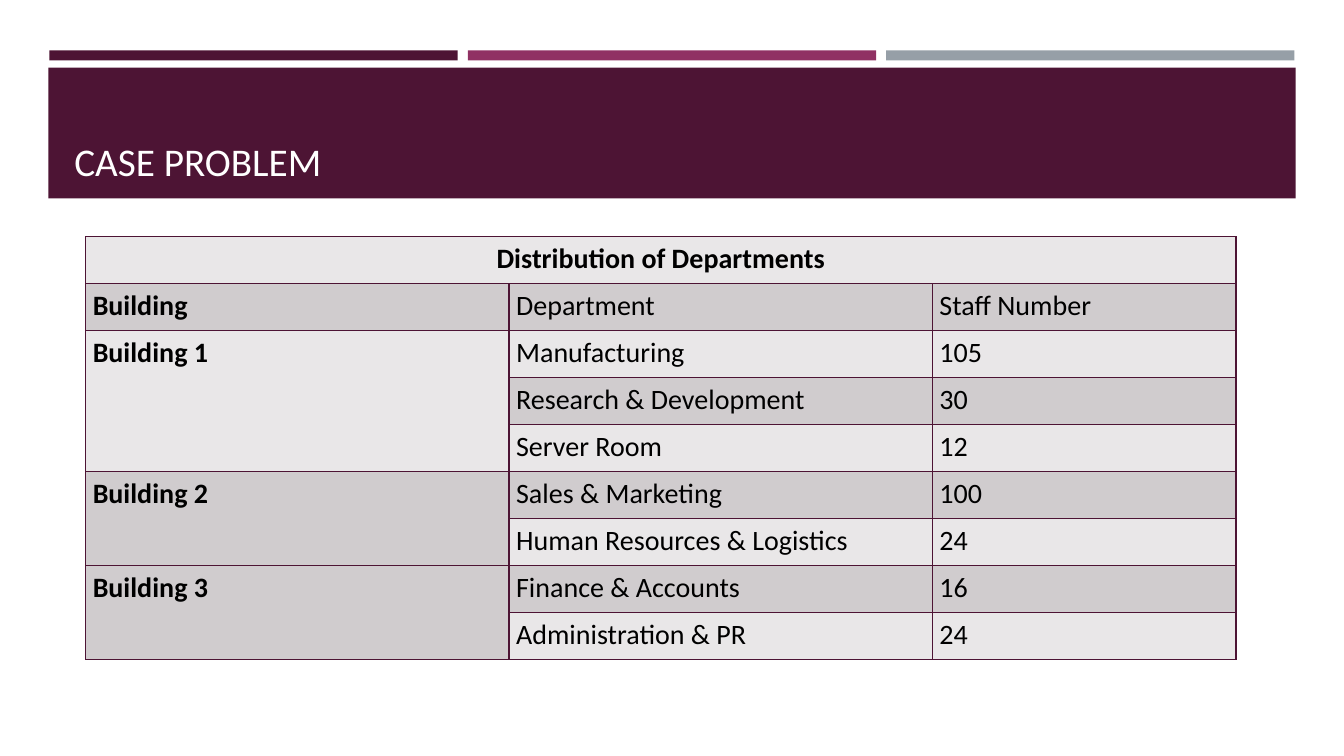
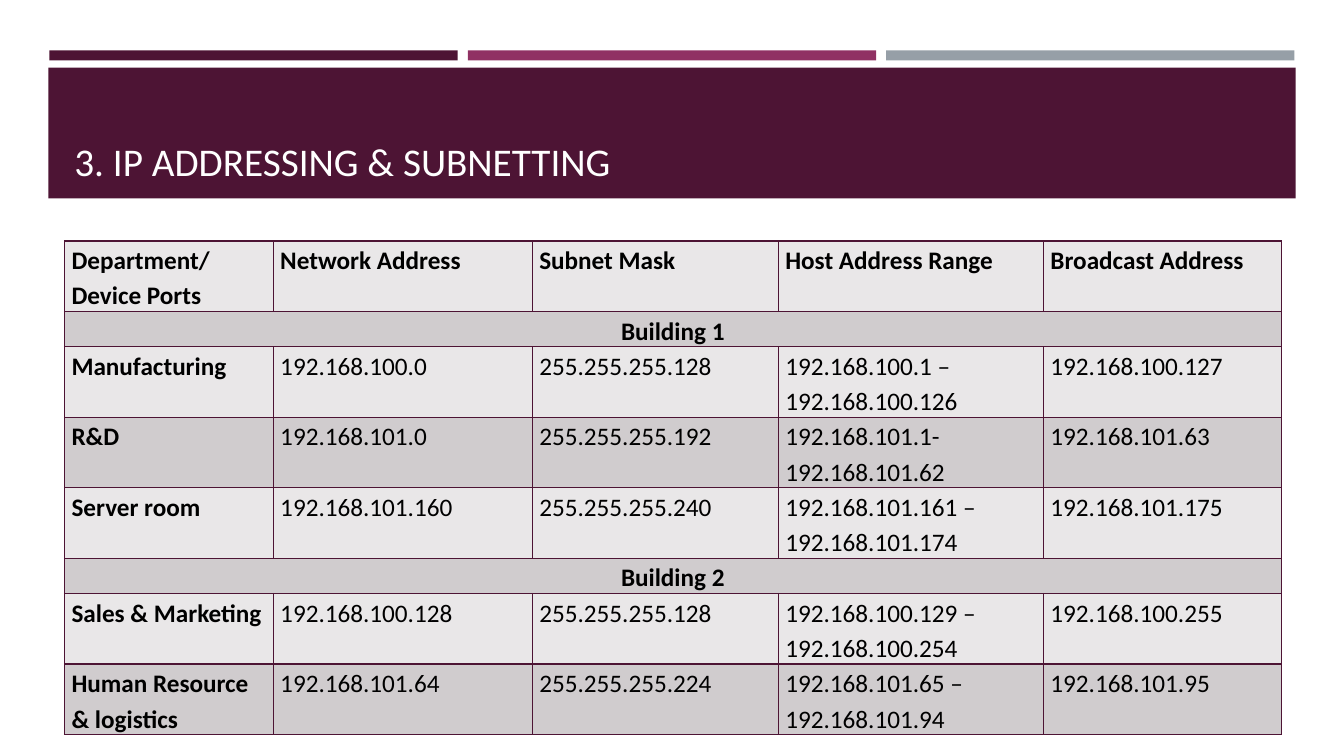
import lxml.etree
import pptx
import pptx.dml.color
import pptx.enum.shapes
import pptx.enum.text
import pptx.oxml.ns
import pptx.util

WIDE = pptx.util.Inches(13.33)
TALL = pptx.util.Inches(7.5)
FONT = "Calibri"
PLUM = pptx.dml.color.RGBColor(0x4D, 0x14, 0x34)
ROSE = pptx.dml.color.RGBColor(0x90, 0x31, 0x63)
STEEL = pptx.dml.color.RGBColor(0x96, 0x9F, 0xA7)
LIGHT = pptx.dml.color.RGBColor(0xE9, 0xE7, 0xE8)
DARK = pptx.dml.color.RGBColor(0xD0, 0xCC, 0xCE)
WHITE = pptx.dml.color.RGBColor(0xFF, 0xFF, 0xFF)
BLACK = pptx.dml.color.RGBColor(0, 0, 0)

STAFF = [
    ["Distribution of Departments"],
    ["Building", "Department", "Staff Number"],
    ["Building 1", "Manufacturing", "105"],
    ["", "Research & Development", "30"],
    ["", "Server Room", "12"],
    ["Building 2", "Sales & Marketing", "100"],
    ["", "Human Resources & Logistics", "24"],
    ["Building 3", "Finance & Accounts", "16"],
    ["", "Administration & PR", "24"],
]
SUBNETS = [
    ["Department/ Device Ports", "Network Address", "Subnet Mask",
     "Host Address Range", "Broadcast Address"],
    ["Building 1"],
    ["Manufacturing", "192.168.100.0", "255.255.255.128",
     "192.168.100.1 –\n192.168.100.126", "192.168.100.127"],
    ["R&D", "192.168.101.0", "255.255.255.192",
     "192.168.101.1-\n192.168.101.62", "192.168.101.63"],
    ["Server room", "192.168.101.160", "255.255.255.240",
     "192.168.101.161 –\n192.168.101.174", "192.168.101.175"],
    ["Building 2"],
    ["Sales & Marketing", "192.168.100.128", "255.255.255.128",
     "192.168.100.129 –\n192.168.100.254", "192.168.100.255"],
    ["Human Resource & logistics", "192.168.101.64", "255.255.255.224",
     "192.168.101.65 –\n192.168.101.94", "192.168.101.95"],
]


def across(share):
    return round(WIDE * share / 100)


def down(share):
    return round(TALL * share / 100)


def place(left, top, width, height):
    return across(left), down(top), across(width), down(height)


def set_font(para, size, color, bold=False):
    para.font.name = FONT
    para.font.size = pptx.util.Pt(size)
    para.font.color.rgb = color
    para.font.bold = bold


def add_bar(slide, box, color):
    bar = slide.shapes.add_shape(pptx.enum.shapes.MSO_SHAPE.RECTANGLE, *place(*box))
    bar.shadow.inherit = False
    bar.fill.solid()
    bar.fill.fore_color.rgb = color
    bar.line.fill.background()


def add_title(slide, text):
    frame = slide.shapes.add_textbox(*place(4.8, 10.27, 90.47, 14.8)).text_frame
    frame.word_wrap = True
    frame.vertical_anchor = pptx.enum.text.MSO_ANCHOR.BOTTOM
    frame.text = text
    set_font(frame.paragraphs[0], 28, WHITE)


def add_page(deck, title):
    slide = deck.slides.add_slide(deck.slide_layouts[6])
    for index, color in enumerate((PLUM, ROSE, STEEL)):
        add_bar(slide, (3.68 + index * 31.13, 6.67, 30.38, 1.33), color)
    add_bar(slide, (3.6, 8.93, 92.8, 17.33), PLUM)
    add_title(slide, title)
    return slide


def set_edges(cell):
    props = cell._tc.get_or_add_tcPr()
    for side in ("a:lnL", "a:lnR", "a:lnT", "a:lnB"):
        edge = lxml.etree.SubElement(props, pptx.oxml.ns.qn(side), w=str(pptx.util.Pt(1)))
        fill = lxml.etree.SubElement(edge, pptx.oxml.ns.qn("a:solidFill"))
        lxml.etree.SubElement(fill, pptx.oxml.ns.qn("a:srgbClr"), val=str(PLUM))


def style_cell(cell, color):
    set_edges(cell)
    cell.fill.solid()
    cell.fill.fore_color.rgb = color
    cell.margin_left = cell.margin_right = pptx.util.Inches(0.07)
    cell.margin_top = cell.margin_bottom = 0


def write_cell(cell, text, size, bold, center):
    cell.text = text
    for para in cell.text_frame.paragraphs:
        para.line_spacing = 1.15
        if center:
            para.alignment = pptx.enum.text.PP_ALIGN.CENTER
        set_font(para, size, BLACK, bold)


def merge_cells(table, rows):
    last = len(table.columns) - 1
    start = 0
    for index, row in enumerate(rows):
        if len(row) == 1:
            table.cell(index, 0).merge(table.cell(index, last))
        if row[0]:
            start = index
        if index + 1 == len(rows) or rows[index + 1][0]:
            if index > start:
                table.cell(start, 0).merge(table.cell(index, 0))


def add_grid(slide, left, top, widths, heights, rows, size):
    box = place(left, top, sum(widths), sum(heights))
    table = slide.shapes.add_table(len(rows), len(widths), *box).table
    table.first_row = table.horz_banding = False
    for column, width in zip(table.columns, widths):
        column.width = across(width)
    for index, (row, height) in enumerate(zip(rows, heights)):
        table.rows[index].height = down(height)
        for cell in table.rows[index].cells:
            style_cell(cell, DARK if index % 2 else LIGHT)
        for col, text in enumerate(row):
            bold = index == 0 or col == 0
            write_cell(table.cell(index, col), text, size, bold, len(row) == 1)
    merge_cells(table, rows)


def main():
    deck = pptx.Presentation()
    deck.slide_width, deck.slide_height = WIDE, TALL
    page = add_page(deck, "CASE PROBLEM")
    add_grid(page, 6.38, 31.33, [31.5, 31.5, 22.58], [6.21] * len(STAFF), STAFF, 20)
    page = add_page(deck, "3. IP ADDRESSING & SUBNETTING")
    heights = [4.67 if len(row) == 1 else 9.33 for row in SUBNETS]
    add_grid(page, 4.8, 31.87, [15.53, 19.28, 18.3, 19.73, 17.7], heights, SUBNETS, 18)
    deck.save("out.pptx")


if __name__ == "__main__":
    main()
